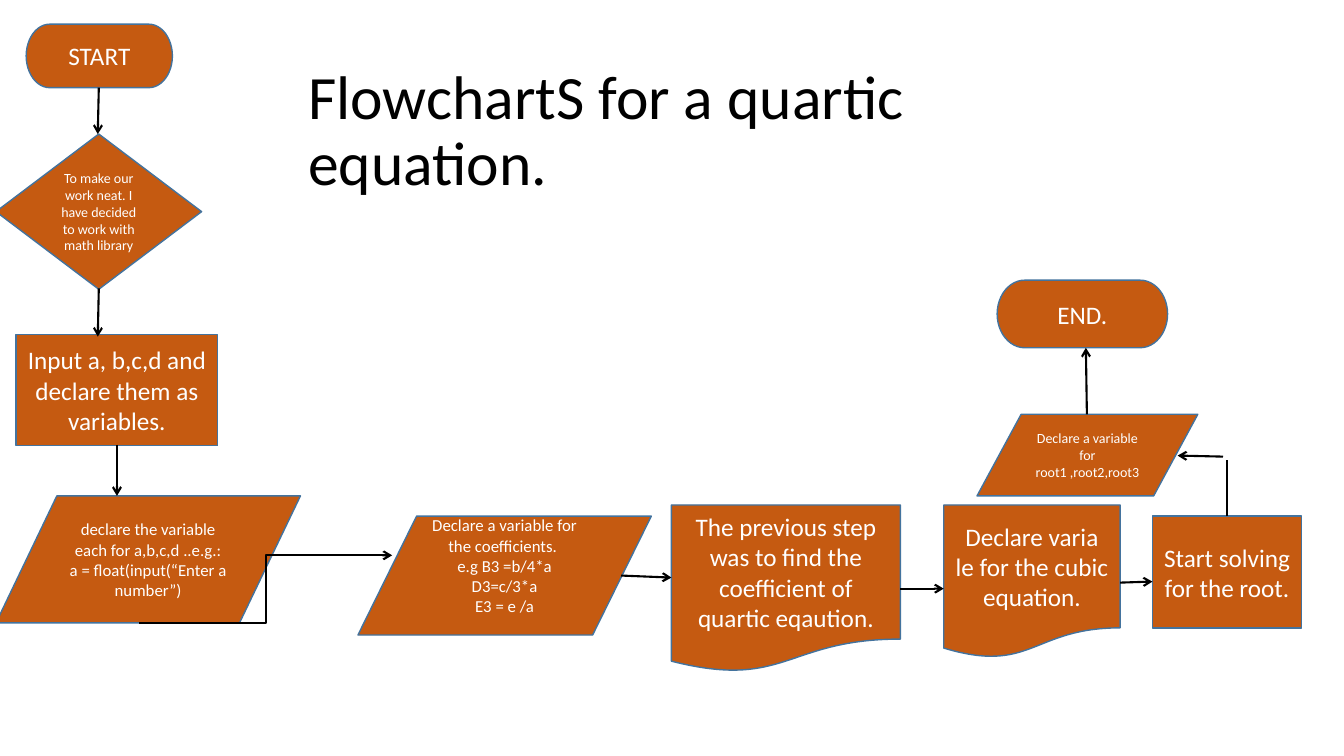
from dataclasses import dataclass

from lxml.etree import SubElement
from pptx import Presentation
from pptx.dml.color import RGBColor as RGB
from pptx.enum.shapes import MSO_CONNECTOR as LINK, MSO_SHAPE as SHAPE
from pptx.enum.text import MSO_ANCHOR as ANCHOR, PP_ALIGN as ALIGN
from pptx.oxml.ns import qn
from pptx.util import Inches, Pt


@dataclass(frozen=True)
class Theme:
    """Colours, font and type sizes of the slide."""
    fill: RGB = RGB(0xC5, 0x5A, 0x11)
    edge: RGB = RGB(0x43, 0x73, 0x9E)
    ink: RGB = RGB(0, 0, 0)
    pale: RGB = RGB(255, 255, 255)
    font: str = "Calibri"
    title: int = 44
    large: int = 18
    mid: int = 12
    small: int = 10
    border: float = 1
    arrow: float = 1.5


THEME = Theme()

# kind, (left, top, width, height), text, size, bottom inset
STEPS = [
    (SHAPE.FLOWCHART_TERMINATOR, (0.26, 0.24, 1.45, 0.63),
     "START", THEME.large, 0.05),
    (SHAPE.FLOWCHART_DECISION, (-0.04, 1.33, 2.04, 1.54),
     "To make our work neat. I have decided to work with math library",
     THEME.small, 0.05),
    (SHAPE.FLOWCHART_PROCESS, (0.16, 3.32, 2, 1.1),
     "Input a, b,c,d and declare them as variables.", THEME.large, 0.05),
    (SHAPE.FLOWCHART_DATA, (-0.04, 4.92, 3.02, 1.26),
     "declare the variable each for a,b,c,d ..e.g.:\v"
     "a = float(input(“Enter a number”)", THEME.mid, 0.05),
    (SHAPE.FLOWCHART_DATA, (3.55, 5.12, 2.91, 1.18),
     "Declare a variable for the coefficients. \n"
     "e.g B3 =b/4*a\nD3=c/3*a\nE3 = e /a", THEME.mid, 0.25),
    (SHAPE.FLOWCHART_DOCUMENT, (6.66, 5.01, 2.27, 1.66),
     "The previous step was to find the coefficient of quartic eqaution.",
     THEME.large, 0.05),
    (SHAPE.FLOWCHART_DOCUMENT, (9.36, 5.01, 1.75, 1.52),
     "Declare varia le for the cubic equation.", THEME.large, 0.05),
    (SHAPE.RECTANGLE, (11.43, 5.12, 1.48, 1.11),
     "Start solving for the root.", THEME.large, 0.05),
    (SHAPE.FLOWCHART_DATA, (9.69, 4.11, 2.19, 0.81),
     "Declare a variable for root1 ,root2,root3", THEME.small, 0.05),
    (SHAPE.FLOWCHART_TERMINATOR, (9.89, 2.78, 1.69, 0.67),
     "END.", THEME.large, 0.05),
]

# start x, start y, end x, end y
ARROWS = [
    (0.98, 0.87, 0.97, 1.33),
    (0.98, 2.86, 0.97, 3.34),
    (1.16, 4.41, 1.16, 4.92),
    (6.16, 5.71, 6.66, 5.73),
    (8.93, 5.84, 9.36, 5.84),
    (11.11, 5.78, 11.43, 5.77),
    (12.13, 4.53, 11.68, 4.52),
    (10.78, 4.11, 10.77, 3.45),
]


def write(frame, text, size, color=THEME.pale, align=ALIGN.CENTER,
          space=1.0, bottom=0.05):
    """Fill a text frame, one paragraph for each line of text."""
    frame.word_wrap = True
    frame.vertical_anchor = ANCHOR.MIDDLE
    frame.margin_bottom = Inches(bottom)
    frame.text = text
    for para in frame.paragraphs:
        para.alignment = align
        para.line_spacing = space
        for run in para.runs:
            run.font.name = THEME.font
            run.font.size = Pt(size)
            run.font.color.rgb = color


def add_title(slide, text, box):
    """Add the slide heading."""
    area = slide.shapes.add_textbox(*map(Inches, box))
    write(area.text_frame, text, THEME.title, color=THEME.ink,
          align=ALIGN.LEFT, space=0.9)


def add_step(slide, kind, box, text, size, bottom):
    """Add one flowchart step with its label."""
    step = slide.shapes.add_shape(kind, *map(Inches, box))
    step.shadow.inherit = False
    step.fill.solid()
    step.fill.fore_color.rgb = THEME.fill
    step.line.color.rgb = THEME.edge
    step.line.width = Pt(THEME.border)
    write(step.text_frame, text, size, bottom=bottom)


def add_link(slide, ends, kind=LINK.STRAIGHT, head=True):
    """Add a connector, with an open arrowhead at its end if asked."""
    link = slide.shapes.add_connector(kind, *map(Inches, ends))
    link.line.color.rgb = THEME.ink
    link.line.width = Pt(THEME.arrow)
    if head:
        SubElement(link.line._get_or_add_ln(), qn("a:tailEnd"), type="arrow")
    SubElement(link._element.spPr, qn("a:effectLst"))


def main():
    """Build the flowchart slide and save it."""
    deck = Presentation()
    deck.slide_width, deck.slide_height = Inches(13.33), Inches(7.5)
    slide = deck.slides.add_slide(deck.slide_layouts[6])
    add_title(slide, "FlowchartS for a quartic equation.",
              (2.96, 0.5, 7.96, 1.63))
    for step in STEPS:
        add_step(slide, *step)
    for ends in ARROWS:
        add_link(slide, ends)
    add_link(slide, (1.38, 6.18, 3.89, 5.51), kind=LINK.ELBOW)
    add_link(slide, (12.17, 5.12, 12.17, 4.56), head=False)
    deck.save("out.pptx")


main()
